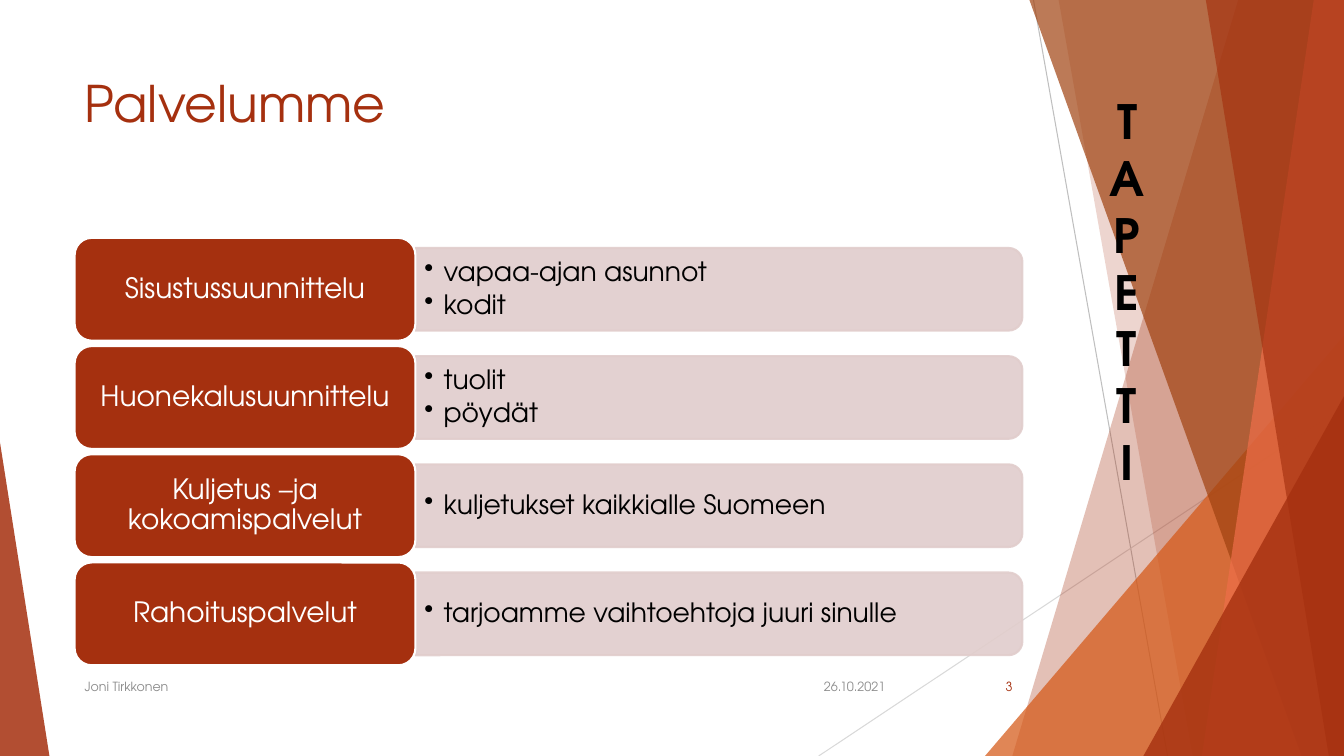
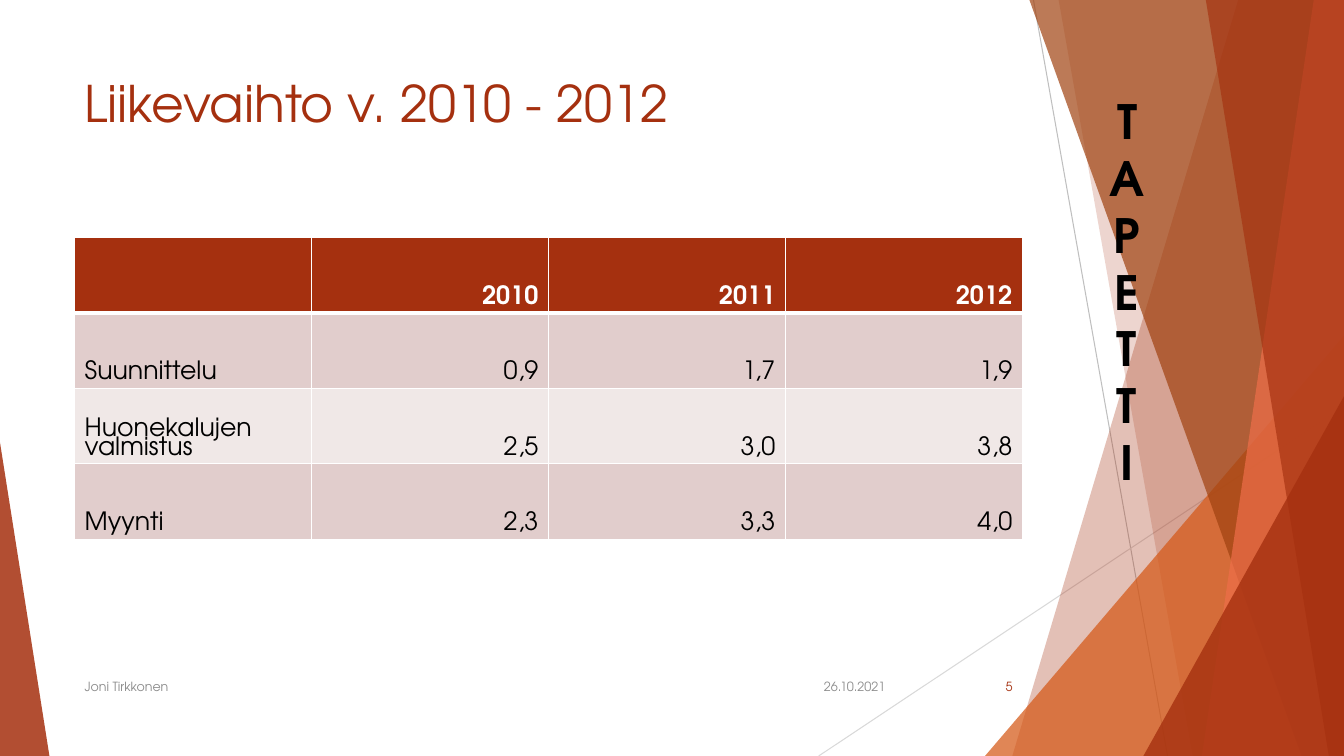
from lxml.etree import SubElement
from pptx import Presentation
from pptx.dml.color import RGBColor
from pptx.enum.shapes import MSO_CONNECTOR, MSO_SHAPE as SHAPE
from pptx.enum.text import MSO_ANCHOR as ANCHOR, PP_ALIGN as ALIGN
from pptx.oxml import parse_xml
from pptx.oxml.ns import nsdecls, qn
from pptx.util import Pt

PX = 9144
WIDTH, HEIGHT = 1333, 750
FONT = "TeX Gyre Adventor"
RUST = RGBColor(0xA5, 0x30, 0x0F)
ORANGE = RGBColor(0xD5, 0x58, 0x16)
BROWN = RGBColor(0xA0, 0x42, 0x10)
CORAL = RGBColor(0xEE, 0x6E, 0x4A)
ROSE = RGBColor(0xE1, 0xCD, 0xCC)
PALE_ROSE = RGBColor(0xF0, 0xE8, 0xE7)
GRAY = RGBColor(0x8C, 0x8C, 0x8C)
MID_GRAY = RGBColor(0xBF, 0xBF, 0xBF)
LIGHT_GRAY = RGBColor(0xD9, 0xD9, 0xD9)
BLACK = RGBColor(0, 0, 0)
WHITE = RGBColor(0xFF, 0xFF, 0xFF)

BRAND = "TAPETTI"
AUTHOR = "Joni Tirkkonen"
DATE = "26.10.2021"
SERVICES = [
    ("Sisustussuunnittelu", ["vapaa-ajan asunnot", "kodit"]),
    ("Huonekalusuunnittelu", ["tuolit", "pöydät"]),
    ("Kuljetus –ja kokoamispalvelut", ["kuljetukset kaikkialle Suomeen"]),
    ("Rahoituspalvelut", ["tarjoamme vaihtoehtoja juuri sinulle"]),
]
REVENUE = [
    ("", "2010", "2011", "2012"),
    ("Suunnittelu", "0,9", "1,7", "1,9"),
    ("Huonekalujen valmistus", "2,5", "3,0", "3,8"),
    ("Myynti", "2,3", "3,3", "4,0"),
]

GUIDE_LINES = [
    ((1025, 0, 1158, HEIGHT), MID_GRAY),
    ((WIDTH, 403, 812, HEIGHT), LIGHT_GRAY),
]
FACETS = [
    ("pane", (1228, 1004), RUST, 30),
    ("pane", (1050, 1183), RUST, 20),
    ("triangle", (977, 333, 356, 417, 1), ORANGE, 72),
    ("pane", (1021, 1291), BROWN, 70),
    ("pane", (1303, 1192), CORAL, 70),
    ("pane", (1196, 1318), RUST, 65),
    ("triangle", (1134, 393, 199, 357, 1), RUST, 80),
    ("triangle", (0, 439, 49, 311, 0), RUST, 85),
]
LEFT, CONTENT_TOP, CONTENT_WIDTH = 74, 236, 940
LABEL_WIDTH, LABEL_HEIGHT = 338, 102
LAST_LABEL_TOP = 558
BAND_WIDTH, BAND_HEIGHT = 602, 82
TABLE_HEIGHT = 299


def emu(*lengths):
    return [round(length * PX) for length in lengths]


def write(frame, text, size=18, color=BLACK, bold=False, align=ALIGN.LEFT,
          anchor=ANCHOR.TOP, insets=(10, 5), spacing=None, after=None, bullet=False):
    frame.word_wrap = True
    frame.vertical_anchor = anchor
    frame.margin_left, frame.margin_top = emu(*insets)
    frame.margin_right, frame.margin_bottom = emu(*insets)
    lines = [text] if isinstance(text, str) else text
    for index, line in enumerate(lines):
        paragraph = frame.add_paragraph() if index else frame.paragraphs[0]
        if bullet:
            properties = paragraph._p.get_or_add_pPr()
            properties.set("marL", str(19 * PX))
            properties.set("indent", str(-19 * PX))
            SubElement(properties, qn("a:buChar")).set("char", "•")
        paragraph.alignment = align
        if spacing:
            paragraph.line_spacing = spacing
        if after:
            paragraph.space_after = Pt(after)
        run = paragraph.add_run()
        run.text = line
        run.font.name, run.font.size, run.font.bold = FONT, Pt(size), bold
        run.font.color.rgb = color


def add_text(slide, box, text, **text_format):
    shape = slide.shapes.add_textbox(*emu(*box))
    write(shape.text_frame, text, **text_format)
    return shape


def set_alpha(format_element, percent):
    for color in format_element.iter(qn("a:srgbClr")):
        SubElement(color, qn("a:alpha")).set("val", str(percent * 1000))


def paint(shape, color, alpha=100, line=None):
    shape.shadow.inherit = False
    shape.fill.solid()
    shape.fill.fore_color.rgb = color
    if line:
        shape.line.color.rgb = line
        shape.line.width = Pt(1.5)
    else:
        shape.line.fill.background()
    if alpha < 100:
        set_alpha(shape._element.spPr, alpha)


def add_facet(slide, kind, geometry, color, alpha):
    if kind == "pane":
        top_x, bottom_x = geometry
        builder = slide.shapes.build_freeform(top_x, 0, scale=PX)
        builder.add_line_segments([(WIDTH, 0), (WIDTH, HEIGHT), (bottom_x, HEIGHT)])
        facet = builder.convert_to_shape()
    else:
        *box, apex = geometry
        facet = slide.shapes.add_shape(SHAPE.ISOSCELES_TRIANGLE, *emu(*box))
        facet.adjustments[0] = apex
    paint(facet, color, alpha)


def add_brand(slide):
    brand = add_text(slide, (1077, 24, 81, 530), BRAND, size=33.8, bold=True,
                     align=ALIGN.CENTER)
    brand.text_frame._txBody.bodyPr.set("vert", "wordArtVert")
    outline = parse_xml(f'<a:ln {nsdecls("a")} w="{Pt(0.75)}"><a:solidFill>'
                        f'<a:srgbClr val="{WHITE}"/></a:solidFill></a:ln>')
    brand.text_frame.paragraphs[0].runs[0]._r.get_or_add_rPr().insert(0, outline)


def add_base_slide(presentation, title, number):
    slide = presentation.slides.add_slide(presentation.slide_layouts[6])
    for ends, color in GUIDE_LINES:
        guide = slide.shapes.add_connector(MSO_CONNECTOR.STRAIGHT, *emu(*ends))
        guide.line.color.rgb = color
        guide.line.width = Pt(0.75)
        SubElement(guide._element.spPr, qn("a:effectLst"))
    for facet in FACETS:
        add_facet(slide, *facet)
    add_brand(slide)
    add_text(slide, (LEFT, 67, CONTENT_WIDTH, 144), title, size=36, color=RUST)
    for left, width, text, color, align in [
        (788, 100, DATE, GRAY, ALIGN.RIGHT),
        (LEFT, 689, AUTHOR, GRAY, ALIGN.LEFT),
        (939, 75, number, RUST, ALIGN.RIGHT),
    ]:
        add_text(slide, (left, 661, width, 40), text, size=9, color=color,
                 align=align, anchor=ANCHOR.MIDDLE)
    return slide


def add_services(slide):
    pitch = (LAST_LABEL_TOP - CONTENT_TOP) / (len(SERVICES) - 1)
    band_left = LEFT + LABEL_WIDTH
    for index, (service, details) in enumerate(SERVICES):
        top = CONTENT_TOP + index * pitch
        middle = top + LABEL_HEIGHT / 2
        band = slide.shapes.add_shape(SHAPE.ROUND_2_SAME_RECTANGLE, *emu(
            band_left + (BAND_WIDTH - BAND_HEIGHT) / 2, middle - BAND_WIDTH / 2,
            BAND_HEIGHT, BAND_WIDTH))
        band.rotation = 90
        paint(band, ROSE, 90, line=ROSE)
        add_text(slide, (band_left + 1, middle - 37, BAND_WIDTH - 4, 74), details,
                 size=19, anchor=ANCHOR.MIDDLE, insets=(8, 4), spacing=0.9,
                 after=3, bullet=True)
        label = slide.shapes.add_shape(SHAPE.ROUNDED_RECTANGLE, *emu(
            LEFT, top, LABEL_WIDTH, LABEL_HEIGHT))
        paint(label, RUST, line=WHITE)
        write(label.text_frame, service, size=20, color=WHITE, align=ALIGN.CENTER,
              anchor=ANCHOR.MIDDLE, insets=(13, 9), spacing=0.9)


def set_borders(cell, row):
    widths = {"lnL": 1, "lnR": 1, "lnT": 3 if row == 1 else 1, "lnB": 3 if row == 0 else 1}
    for position, (side, width) in enumerate(widths.items()):
        border = parse_xml(f'<a:{side} {nsdecls("a")} w="{Pt(width)}"><a:solidFill>'
                           f'<a:srgbClr val="{WHITE}"/></a:solidFill></a:{side}>')
        cell._tc.get_or_add_tcPr().insert(position, border)


def add_revenue(slide):
    table = slide.shapes.add_table(len(REVENUE), len(REVENUE[0]), *emu(
        LEFT, CONTENT_TOP, CONTENT_WIDTH, TABLE_HEIGHT)).table
    table.first_row = table.horz_banding = False
    for row, values in enumerate(REVENUE):
        header = row == 0
        for column, value in enumerate(values):
            cell = table.cell(row, column)
            cell.fill.solid()
            cell.fill.fore_color.rgb = RUST if header else (PALE_ROSE, ROSE)[row % 2]
            set_borders(cell, row)
            cell.vertical_anchor = ANCHOR.BOTTOM
            if value:
                paragraph = cell.text_frame.paragraphs[0]
                paragraph.alignment = ALIGN.RIGHT if column else ALIGN.LEFT
                paragraph.line_spacing = 0.8
                run = paragraph.add_run()
                run.text = value
                run.font.name, run.font.size, run.font.bold = FONT, Pt(18), header
                run.font.color.rgb = WHITE if header else BLACK


def main():
    presentation = Presentation()
    presentation.slide_width, presentation.slide_height = emu(WIDTH, HEIGHT)
    add_services(add_base_slide(presentation, "Palvelumme", "3"))
    add_revenue(add_base_slide(presentation, "Liikevaihto v. 2010 - 2012", "5"))
    presentation.save("out.pptx")


if __name__ == "__main__":
    main()
